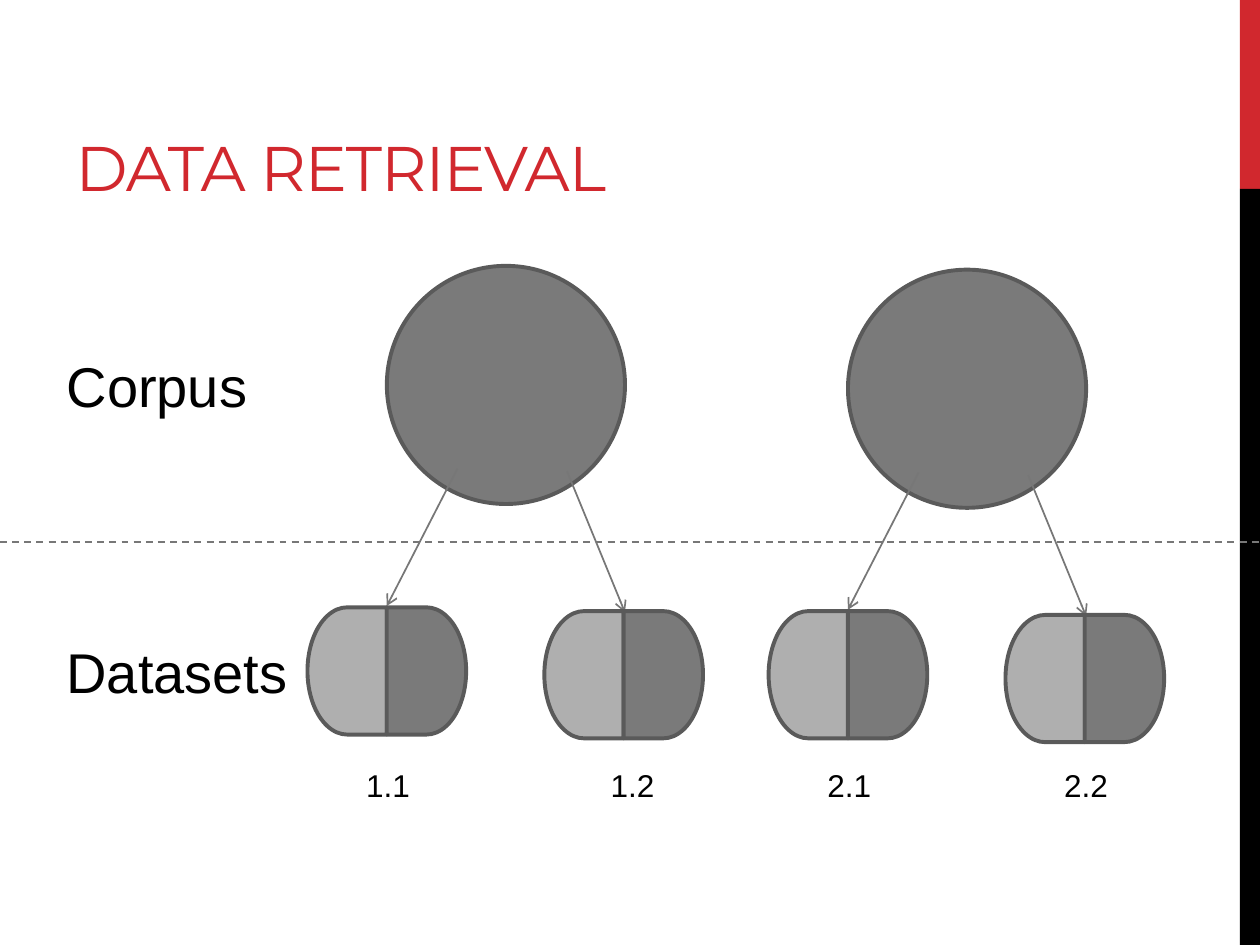
"""Build the data retrieval slide: two corpora, each split into two datasets."""
from dataclasses import dataclass

from lxml import etree
from pptx import Presentation
from pptx.dml.color import RGBColor
from pptx.enum.dml import MSO_LINE
from pptx.enum.shapes import MSO_CONNECTOR, MSO_SHAPE
from pptx.enum.text import MSO_ANCHOR, MSO_AUTO_SIZE, PP_ALIGN
from pptx.oxml.ns import qn
from pptx.util import Inches, Pt

RECTANGLE, OVAL, DELAY = MSO_SHAPE.RECTANGLE, MSO_SHAPE.OVAL, MSO_SHAPE.FLOWCHART_DELAY
STRAIGHT, DASH = MSO_CONNECTOR.STRAIGHT, MSO_LINE.DASH
LEFT, CENTER = PP_ALIGN.LEFT, PP_ALIGN.CENTER
BOTTOM, TOP = MSO_ANCHOR.BOTTOM, MSO_ANCHOR.TOP
FIT_SHAPE, NO_FIT = MSO_AUTO_SIZE.SHAPE_TO_FIT_TEXT, MSO_AUTO_SIZE.NONE


@dataclass(frozen=True)
class Theme:
    red: RGBColor = RGBColor(0xD1, 0x28, 0x2E)
    black: RGBColor = RGBColor(0, 0, 0)
    dark: RGBColor = RGBColor(0x7A, 0x7A, 0x7A)
    light: RGBColor = RGBColor(0xAF, 0xAF, 0xAF)
    outline: RGBColor = RGBColor(0x5A, 0x5A, 0x5A)
    connector: RGBColor = RGBColor(0x77, 0x77, 0x77)
    title_font: str = "Montserrat"
    body_font: str = "Arial"
    title_size: int = 36
    row_size: int = 32
    label_size: int = 18


theme = Theme()


def write_text(box, text, *, size, font=theme.body_font, color=theme.black,
               align=LEFT, anchor=TOP, wrap=False, fit=FIT_SHAPE, spacing=None):
    frame = box.text_frame
    frame.word_wrap = wrap
    frame.auto_size = fit
    frame.vertical_anchor = anchor
    para = frame.paragraphs[0]
    para.alignment = align
    span = para.add_run()
    span.text = text
    span.font.size = Pt(size)
    span.font.name = font
    span.font.color.rgb = color
    if spacing is not None:
        span.font._element.set("spc", str(round(spacing * 100)))


def add_line(shapes, start, end, *, dash=None, arrow=False):
    line = shapes.add_connector(STRAIGHT, *map(Inches, start + end))
    line.line.color.rgb = theme.connector
    line.line.width = Pt(1)
    if dash:
        line.line.dash_style = dash
    if arrow:
        etree.SubElement(line.line._get_or_add_ln(), qn("a:tailEnd"), type="arrow")
    etree.SubElement(line._element.spPr, qn("a:effectLst"))


deck = Presentation()
deck.slide_width, deck.slide_height = Inches(10), Inches(7.5)
page = deck.slides.add_slide(deck.slide_layouts[5])
shapes = page.shapes

for top, height, color in [(0, 1.5, theme.red), (1.5, 6, theme.black)]:
    bar = shapes.add_shape(RECTANGLE, Inches(9.84), Inches(top), Inches(0.16), Inches(height))
    bar.shadow.inherit = False
    bar.fill.solid()
    bar.fill.fore_color.rgb = color
    bar.line.fill.background()

title = shapes.title
title.left, title.top, title.width, title.height = map(Inches, (0.5, 0.17, 6.33, 1.5))
write_text(title, "DATA RETRIEVAL", size=theme.title_size, font=theme.title_font,
           color=theme.red, anchor=BOTTOM, wrap=True, fit=NO_FIT, spacing=-0.6)

diameter, half_width, half_height = 1.89, 0.63, 1.01
corpora = [(3.07, 2.11, ["1.1", "1.2"], [3.08, 5.02]),
           (6.73, 2.14, ["2.1", "2.2"], [6.74, 8.62])]
arrows = [((0.56, 1.61), (0, 2.7)), ((1.43, 1.63), (1.89, 2.75))]
dataset_offsets = [(0, 2.71), (1.88, 2.74)]

for left, top, names, label_centers in corpora:
    parts = [(OVAL, left, top, diameter, diameter, theme.dark, 0)]
    for across, down in dataset_offsets:
        middle, upper = left + across, top + down
        parts += [
            (DELAY, middle - half_width, upper, half_width, half_height, theme.light, 180),
            (DELAY, middle, upper, half_width, half_height, theme.dark, 0),
        ]
    for kind, x, y, width, height, color, rotation in parts:
        part = shapes.add_shape(kind, *map(Inches, (x, y, width, height)))
        part.shadow.inherit = False
        part.rotation = rotation
        part.fill.solid()
        part.fill.fore_color.rgb = color
        part.line.color.rgb = theme.outline
        part.line.width = Pt(2.25)
        if kind == OVAL:
            for start, end in arrows:
                add_line(shapes, (left + start[0], top + start[1]),
                         (left + end[0], top + end[1]), arrow=True)
    for name, center in zip(names, label_centers):
        box = shapes.add_textbox(*map(Inches, (center - 0.275, 6.03, 0.55, 0.4)))
        write_text(box, name, size=theme.label_size, align=CENTER)

add_line(shapes, (0, 4.3), (10, 4.3), dash=DASH)

for name, top, width in [("Corpus", 2.74, 1.65), ("Datasets", 5.01, 1.97)]:
    box = shapes.add_textbox(*map(Inches, (0.43, top, width, 0.64)))
    write_text(box, name, size=theme.row_size)

deck.save("out.pptx")
